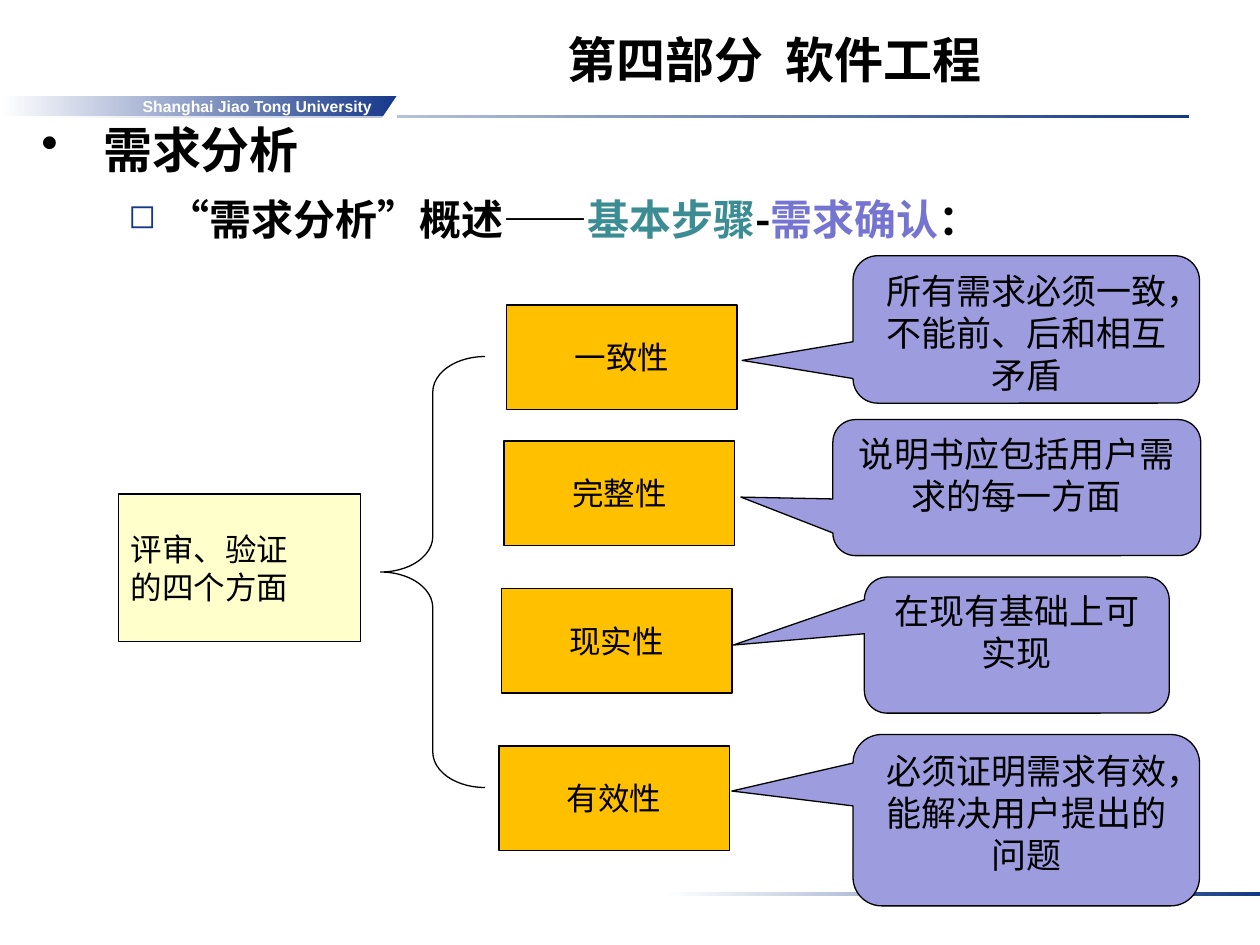
from dataclasses import dataclass

from lxml import etree
from pptx import Presentation
from pptx.dml.color import RGBColor
from pptx.enum.shapes import MSO_SHAPE
from pptx.enum.text import MSO_ANCHOR, PP_ALIGN
from pptx.oxml.ns import qn
from pptx.util import Inches, Pt

RECT, TRIANGLE = MSO_SHAPE.RECTANGLE, MSO_SHAPE.RIGHT_TRIANGLE
BRACE, CALLOUT = MSO_SHAPE.LEFT_BRACE, MSO_SHAPE.ROUNDED_RECTANGULAR_CALLOUT
TOP, MIDDLE, BOTTOM = MSO_ANCHOR.TOP, MSO_ANCHOR.MIDDLE, MSO_ANCHOR.BOTTOM
LEFT, CENTER, RIGHT = PP_ALIGN.LEFT, PP_ALIGN.CENTER, PP_ALIGN.RIGHT


@dataclass(frozen=True)
class Theme:
    latin: str = "Arial"
    cjk: str = "Noto Sans CJK SC"
    black: str = "000000"
    white: str = "FFFFFF"
    rule: str = "133984"
    navy: str = "16388A"
    teal: str = "3C8C93"
    violet: str = "7575D1"
    cream: str = "FFFFCC"
    amber: str = "FFC000"
    lilac: str = "9C9CDF"
    heading: int = 28
    subheading: int = 24
    note: int = 20
    label: int = 18
    banner: int = 9


T = Theme()


def add_text(p, text, size=T.label, color=T.black, bold=False, font=T.latin, align=LEFT):
    p.alignment = align
    r = p.add_run()
    r.text = text
    r.font.size, r.font.bold, r.font.name = Pt(size), bold, font
    r.font.color.rgb = RGBColor.from_string(color)
    etree.SubElement(r.font._element, qn("a:ea"), typeface=T.cjk)


def add_box(kind, left, top, width, height, fill=None, fade_to=None, line=None, anchor=MIDDLE, wrap=False):
    """Add a preset shape with a solid fill, a fade from white, or no fill."""
    sp = s.shapes.add_shape(kind, Inches(left), Inches(top), Inches(width), Inches(height))
    sp.shadow.inherit = False
    if fade_to:
        sp.fill.gradient()
        sp.fill.gradient_angle = 0
        for stop, color in zip(sp.fill.gradient_stops, (T.white, fade_to)):
            stop.color.rgb = RGBColor.from_string(color)
    elif fill:
        sp.fill.solid()
        sp.fill.fore_color.rgb = RGBColor.from_string(fill)
    else:
        sp.fill.background()
    if line:
        sp.line.color.rgb = RGBColor.from_string(line)
        sp.line.width = Pt(0.75)
    else:
        sp.line.fill.background()
    sp.text_frame.vertical_anchor = anchor
    sp.text_frame.word_wrap = wrap
    return sp


prs = Presentation()
prs.slide_width, prs.slide_height = Inches(10), Inches(7.5)
s = prs.slides.add_slide(prs.slide_layouts[6])

# Rules and university banner
add_box(RECT, 0.31, 0.91, 9.13, 0.03, fade_to=T.rule)
add_box(RECT, 5.28, 7.08, 4.72, 0.03, fade_to=T.rule)
banner = add_box(RECT, 0, 0.76, 3.15, 0.16, fade_to=T.navy)
banner.text_frame.margin_right = Inches(0.2)
add_text(banner.text_frame.paragraphs[0], "Shanghai Jiao Tong University",
         size=T.banner, color=T.white, bold=True, align=RIGHT)
corner = add_box(TRIANGLE, 3.03, 0.76, 0.12, 0.18, fill=T.white)
corner._element.spPr.find(qn("a:xfrm")).set("flipH", "1")

# Title
title = s.shapes.add_textbox(Inches(2.59), Inches(0), Inches(7.11), Inches(0.75))
tf = title.text_frame
tf.word_wrap, tf.vertical_anchor = True, BOTTOM
add_text(tf.paragraphs[0], "第四部分  软件工程", size=T.heading, bold=True, align=CENTER)

# Outline
outline = s.shapes.add_textbox(Inches(0.23), Inches(0.85), Inches(9.25), Inches(1.2))
tf = outline.text_frame
tf.word_wrap = True
topic, step = tf.paragraphs[0], tf.add_paragraph()
step.level = 1
step.space_before = Pt(6)
for p, indent, hang, bullet, color, percent in (
    (topic, 0.49, 0.49, "•", T.black, 100),
    (step, 1, 0.31, "◻", T.navy, 80),
):
    p.line_spacing = 1.1
    pPr = p._p.get_or_add_pPr()
    pPr.set("marL", str(Inches(indent)))
    pPr.set("indent", str(-Inches(hang)))
    etree.SubElement(etree.SubElement(pPr, qn("a:buClr")), qn("a:srgbClr"), val=color)
    etree.SubElement(pPr, qn("a:buSzPct"), val=str(percent * 1000))
    etree.SubElement(pPr, qn("a:buChar"), char=bullet)
add_text(topic, "需求分析", size=T.heading, bold=True)
for text, color in (
    ("“需求分析”概述——", T.black),
    ("基本步骤", T.teal),
    ("-", T.black),
    ("需求确认", T.violet),
    ("：", T.black),
):
    add_text(step, text, size=T.subheading, color=color, bold=True, font=T.cjk)

# Review subject
subject = add_box(RECT, 0.94, 3.92, 1.92, 1.17, fill=T.cream, line=T.black)
tf = subject.text_frame
add_text(tf.paragraphs[0], "评审、验证")
add_text(tf.add_paragraph(), "的四个方面")

# Four aspects
for text, left, top in (
    ("一致性", 4.02, 2.42),
    ("完整性", 4, 3.5),
    ("现实性", 3.98, 4.67),
    ("有效性", 3.96, 5.92),
):
    aspect = add_box(RECT, left, top, 1.83, 0.83, fill=T.amber, line=T.black)
    add_text(aspect.text_frame.paragraphs[0], text, align=CENTER)

brace = add_box(BRACE, 3.02, 2.83, 0.83, 3.42, line=T.black)
brace.adjustments[0] = 0.34

# Explanations, each with its pointer tip relative to the callout's centre
for text, place, tip in (
    ("所有需求必须一致，不能前、后和相互矛盾", (6.77, 2.03, 2.75, 1.17), (-0.82, 0.21)),
    ("说明书应包括用户需求的每一方面", (6.61, 3.33, 2.92, 1.08), (-0.75, 0.07)),
    ("在现有基础上可实现", (6.86, 4.58, 2.42, 1.08), (-0.93, 0)),
    ("必须证明需求有效，能解决用户提出的问题", (6.77, 5.83, 2.75, 1.36), (-0.85, -0.17)),
):
    callout = add_box(CALLOUT, *place, fill=T.lilac, line=T.black, anchor=TOP, wrap=True)
    callout.adjustments[0], callout.adjustments[1] = tip
    add_text(callout.text_frame.paragraphs[0], text, size=T.note, align=CENTER)

prs.save("out.pptx")
